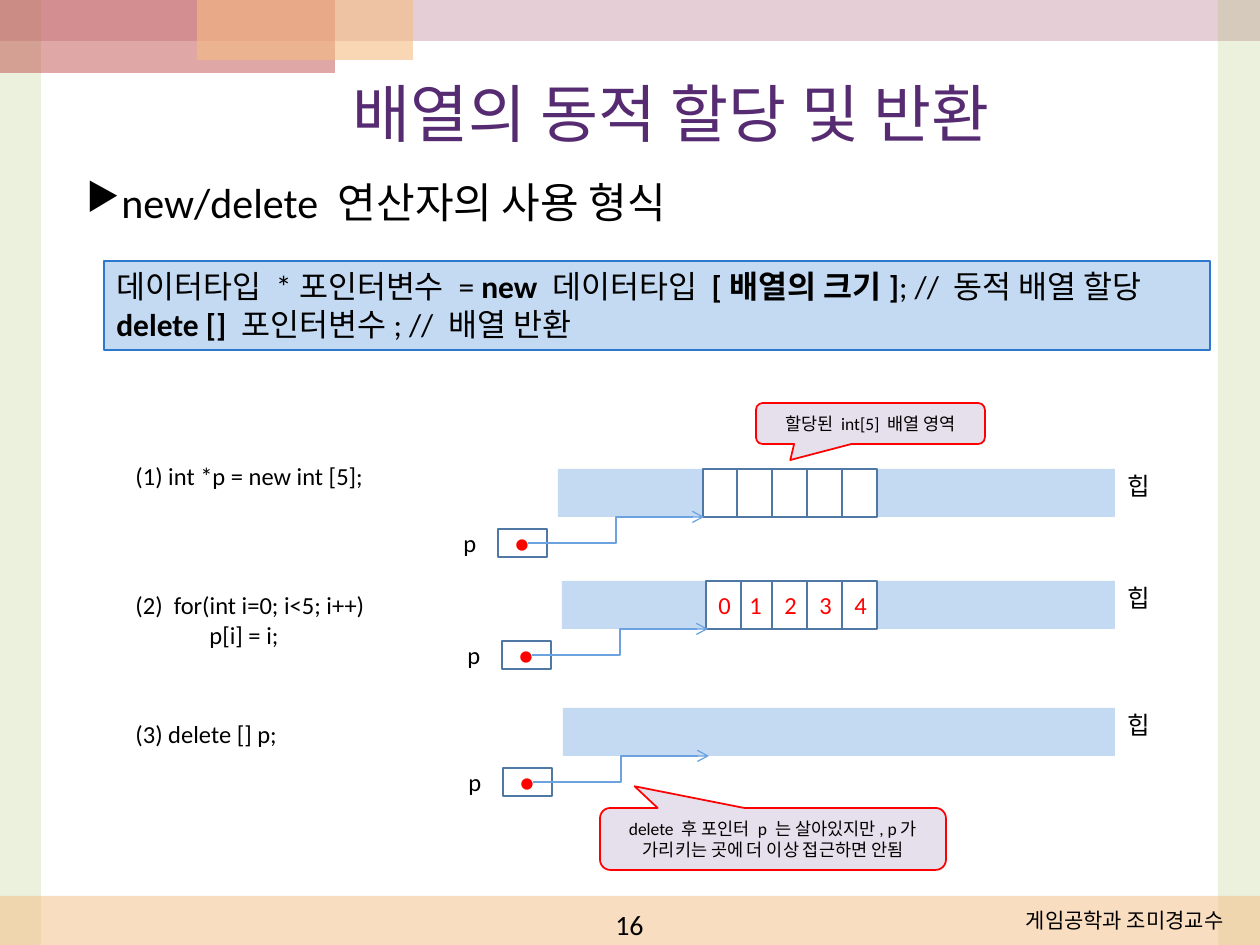
from lxml import etree
from pptx import Presentation
from pptx.dml.color import RGBColor
from pptx.enum.shapes import MSO_CONNECTOR as Connector, MSO_SHAPE as Preset
from pptx.enum.text import MSO_ANCHOR as Anchor, PP_ALIGN as Align
from pptx.oxml.ns import qn
from pptx.util import Pt

EMU_PER_INCH, PX_PER_INCH = 914400, 126


def px(length):
    return round(length * EMU_PER_INCH / PX_PER_INCH)


def color(value):
    return RGBColor.from_string(value)


class SlideBuilder:
    FONT = "Calibri"
    BLACK, RED, WHITE = "000000", "FF0000", "FFFFFF"
    HEAP, CELL_LINE, ARROW = "C4DAF2", "4F78A5", "6BA2DF"
    NOTE = "E6E0EC"

    def __init__(self, slide):
        self.slide = slide

    def add_runs(self, shape, paragraphs, size, ink=BLACK, align=Align.LEFT,
                 anchor=Anchor.TOP, wrap=True):
        """Each paragraph is a list of (text, bold) runs."""
        frame = shape.text_frame
        frame.word_wrap = wrap
        frame.vertical_anchor = anchor
        for index, runs in enumerate(paragraphs):
            paragraph = frame.paragraphs[0] if index == 0 else frame.add_paragraph()
            paragraph.alignment = align
            for text, bold in runs:
                run = paragraph.add_run()
                run.text = text
                run.font.name = self.FONT
                run.font.size = Pt(size)
                run.font.bold = bold
                run.font.color.rgb = color(ink)
        return frame

    def text(self, box, lines, size, **style):
        shape = self.slide.shapes.add_textbox(*map(px, box))
        paragraphs = [[(line, False)] for line in lines.split("\n")]
        return self.add_runs(shape, paragraphs, size, **style)

    def shape(self, box, fill, line=None, width=1, alpha=None, preset=Preset.RECTANGLE):
        shape = self.slide.shapes.add_shape(preset, *map(px, box))
        shape.shadow.inherit = False
        shape.fill.solid()
        shape.fill.fore_color.rgb = color(fill)
        if alpha is not None:
            fill_color = shape._element.spPr.find(".//" + qn("a:srgbClr"))
            etree.SubElement(fill_color, qn("a:alpha"), val=str(alpha * 1000))
        if line:
            shape.line.color.rgb = color(line)
            shape.line.width = Pt(width)
        else:
            shape.line.fill.background()
        return shape

    def callout(self, box, tip, text):
        shape = self.shape(box, self.NOTE, self.RED,
                           preset=Preset.ROUNDED_RECTANGULAR_CALLOUT)
        shape.adjustments[0], shape.adjustments[1] = tip
        self.add_runs(shape, [[(text, False)]], 10, align=Align.CENTER,
                      anchor=Anchor.MIDDLE)

    def elbow_arrow(self, start, end):
        connector = self.slide.shapes.add_connector(
            Connector.ELBOW, *map(px, start + end))
        connector.line.color.rgb = color(self.ARROW)
        connector.line.width = Pt(0.75)
        properties = connector._element.spPr
        etree.SubElement(properties.find(qn("a:ln")), qn("a:tailEnd"), type="arrow")
        etree.SubElement(properties, qn("a:effectLst"))

    def bullet(self, paragraph, character, indent):
        properties = paragraph._p.get_or_add_pPr()
        properties.set("marL", str(px(indent)))
        properties.set("indent", str(-px(indent)))
        etree.SubElement(properties, qn("a:buSzPct"), val="90000")
        etree.SubElement(properties, qn("a:buChar"), char=character)

    def cell(self, x, y, value):
        shape = self.shape((x, y, 35, 48), self.WHITE, self.CELL_LINE, 1.5)
        if value:
            self.add_runs(shape, [[(value, False)]], 14, ink=self.RED,
                          align=Align.CENTER, anchor=Anchor.MIDDLE)

    def memory_row(self, shift, top, cells=()):
        """A pointer box p, its arrow and the heap bar with its array cells."""
        self.text((451 + shift, top + 53, 40, 43), "p", 14, wrap=False)
        self.shape((498 + shift, top + 60, 49, 28), self.WHITE, self.CELL_LINE)
        heap_left, heap_right = 558 + shift, 1115
        self.shape((heap_left, top, heap_right - heap_left, 48), self.HEAP)
        self.text((heap_right, top - 4, 50, 43), "힙", 14, wrap=False)
        for x, value in cells:
            self.cell(x, top, value)
        self.elbow_arrow((528 + shift, top + 74), (704 + shift, top + 48))
        self.text((500 + shift, top + 53, 44, 43), "●", 14, ink=self.RED,
                  align=Align.CENTER, wrap=False)


def main():
    presentation = Presentation()
    presentation.slide_width, presentation.slide_height = px(1260), px(945)
    builder = SlideBuilder(presentation.slides.add_slide(presentation.slide_layouts[6]))

    # Background bands
    for box, fill, alpha in (
        ((0, 0, 1260, 41), "CC9EAC", 50),
        ((0, 0, 41, 945), "9BBB59", 20),
        ((0, 0, 335, 73), "C0504D", 50),
        ((197, 0, 216, 60), "F5BC83", 60),
        ((1218, 0, 42, 945), "9BBB59", 20),
        ((0, 896, 1260, 49), "F5BC83", 50),
    ):
        builder.shape(box, fill, alpha=alpha)

    # Title and heading
    builder.text((104, 57, 1134, 111), "배열의 동적 할당 및 반환", 36, ink="562B71",
                 align=Align.CENTER, anchor=Anchor.MIDDLE)
    heading = builder.text((74, 170, 1124, 70), "new/delete 연산자의 사용 형식", 24)
    builder.bullet(heading.paragraphs[0], "▶", 27)

    # Syntax box
    syntax = builder.shape((104, 261, 1106, 89), builder.HEAP, "2C78CC", 0.75)
    builder.add_runs(syntax, [
        [("데이터타입 *포인터변수 = ", False), ("new ", True), ("데이터타입 ", False),
         ("[배열의 크기]", True), ("; // 동적 배열 할당", False)],
        [("delete [] ", True), ("포인터변수; // 배열 반환", False)],
    ], 18)

    # Code steps
    builder.text((123, 455, 295, 43), "(1) int *p = new int [5];", 14)
    loop = builder.text((123, 584, 319, 72), "(2)  for(int i=0; i<5; i++)\np[i] = i;", 14)
    loop.paragraphs[1]._p.get_or_add_pPr().set("marL", str(px(74)))
    builder.text((123, 713, 193, 43), "(3) delete [] p;", 14)

    # Heap states: allocated, filled, released
    cell_lefts = [703 + index * 139 // 4 for index in range(5)]
    filled = list(zip(cell_lefts, "01234"))
    builder.memory_row(0, 469, [(x, "") for x in cell_lefts])
    builder.memory_row(4, 581, filled[1:] + [(706, "0")])
    builder.memory_row(5, 708)

    # Callouts
    builder.callout((756, 403, 229, 41), (-0.35, 0.89), "할당된 int[5] 배열 영역")
    builder.callout((600, 808, 346, 62), (-0.4, -0.85),
                    "delete 후 포인터 p 는 살아있지만, p가 가리키는 곳에 더 이상 접근하면 안됨")

    # Footer
    builder.text((837, 901, 399, 34), "게임공학과 조미경교수", 12, align=Align.RIGHT)
    builder.text((483, 901, 293, 34), "16", 16, align=Align.CENTER)

    presentation.save("out.pptx")


if __name__ == "__main__":
    main()
